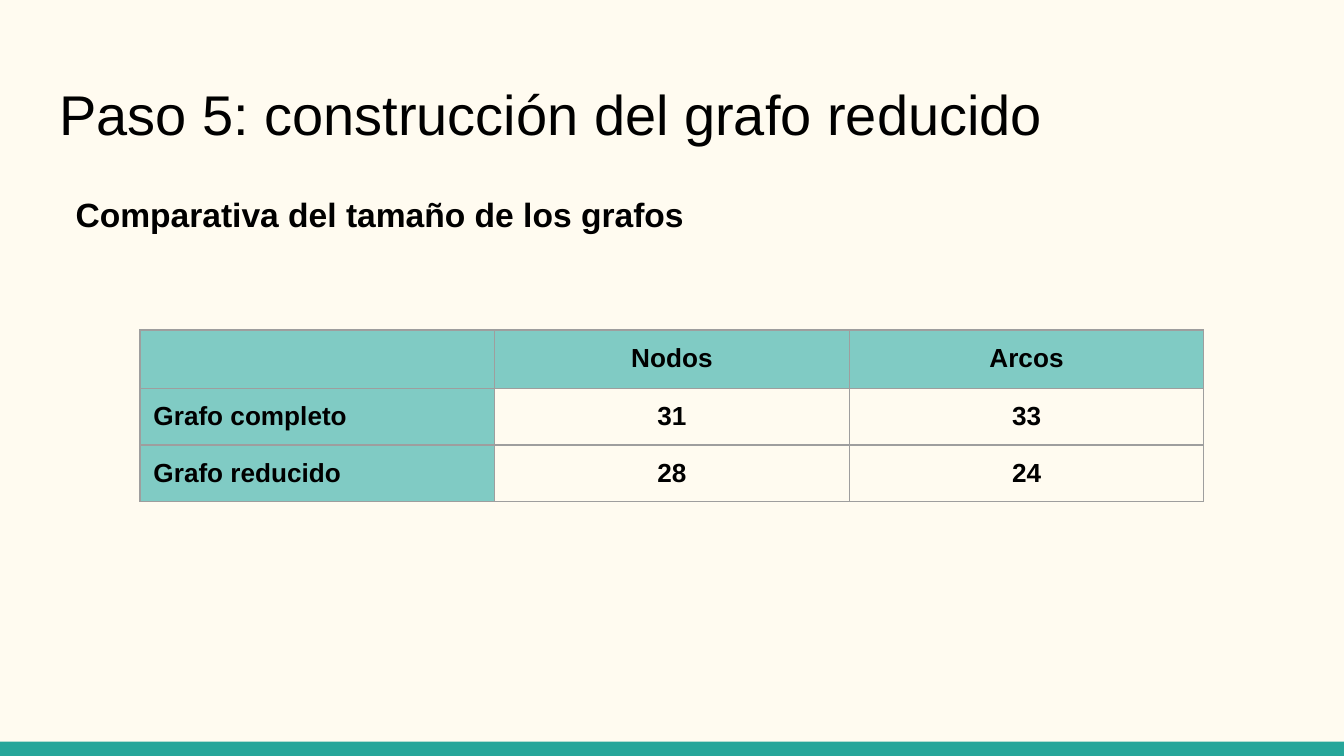
from dataclasses import dataclass

from lxml import etree
from pptx import Presentation
from pptx.dml.color import RGBColor
from pptx.enum import shapes, text
from pptx.oxml import ns
from pptx.util import Pt

CREAM = RGBColor(0xFF, 0xFB, 0xF0)
TEAL = RGBColor(0x26, 0xA6, 0x9A)
MINT = RGBColor(0x80, 0xCB, 0xC4)
GREY = RGBColor(0x9E, 0x9E, 0x9E)
BLACK = RGBColor(0, 0, 0)
FONT = "Arial"
INSET = Pt(7.2)
COL, ROW = 190, 30
LEFT, MID = text.PP_ALIGN.LEFT, text.PP_ALIGN.CENTER


@dataclass
class Box:
    left: float
    top: float
    width: float
    height: float

    def place(self) -> tuple:
        return Pt(self.left), Pt(self.top), Pt(self.width), Pt(self.height)


@dataclass
class Row:
    label: str
    nodes: str
    arcs: str


ROWS = [
    Row("", "Nodos", "Arcos"),
    Row("Grafo completo", "31", "33"),
    Row("Grafo reducido", "28", "24"),
]


def write(frame, words: str, size: float, bold: bool = False, align=LEFT) -> None:
    frame.word_wrap = True
    para = frame.paragraphs[0]
    para.alignment = align
    if not words:
        # An empty cell still needs its size, so that the row keeps its height
        etree.SubElement(para._p, ns.qn("a:endParaRPr"), sz=str(int(size * 100)))
        return
    run = para.add_run()
    run.text = words
    run.font.name = FONT
    run.font.size = Pt(size)
    run.font.bold = bold
    run.font.color.rgb = BLACK


def pad(item) -> None:
    item.margin_left = item.margin_right = INSET
    item.margin_top = item.margin_bottom = INSET


def edge(cell, color: RGBColor, width: float) -> None:
    props = cell._tc.get_or_add_tcPr()
    for side in ("lnL", "lnR", "lnT", "lnB"):
        line = etree.SubElement(props, ns.qn(f"a:{side}"), w=str(Pt(width)))
        fill = etree.SubElement(line, ns.qn("a:solidFill"))
        etree.SubElement(fill, ns.qn("a:srgbClr"), val=str(color))


def draw_table(slide, rows: list[Row], left: float, top: float) -> None:
    box = Box(left, top, 3 * COL, len(rows) * ROW)
    table = slide.shapes.add_table(len(rows), 3, *box.place()).table
    table.first_row = table.horz_banding = False
    for col in table.columns:
        col.width = Pt(COL)
    for r, row in enumerate(rows):
        table.rows[r].height = Pt(ROW)
        for c, words in enumerate((row.label, row.nodes, row.arcs)):
            cell = table.cell(r, c)
            pad(cell)
            edge(cell, GREY, 0.75)
            if r == 0 or c == 0:
                cell.fill.solid()
                cell.fill.fore_color.rgb = MINT
            else:
                cell.fill.background()
            write(cell.text_frame, words, 14, bold=True, align=MID if c else LEFT)


def main() -> None:
    deck = Presentation()
    deck.slide_width, deck.slide_height = Pt(720), Pt(405)
    slide = deck.slides.add_slide(deck.slide_layouts[5])
    slide.background.fill.solid()
    slide.background.fill.fore_color.rgb = CREAM

    # Bottom band
    band = slide.shapes.add_shape(
        shapes.MSO_SHAPE.RECTANGLE, *Box(0, 397.4, 720, 7.6).place())
    band.shadow.inherit = False
    band.fill.solid()
    band.fill.fore_color.rgb = TEAL
    band.line.fill.background()

    # Title
    title = slide.shapes.title
    title.left, title.top, title.width, title.height = Box(24.5, 35.3, 671, 48.2).place()
    frame = title.text_frame
    pad(frame)
    frame.auto_size = text.MSO_AUTO_SIZE.NONE
    frame.vertical_anchor = text.MSO_ANCHOR.TOP
    write(frame, "Paso 5: construcción del grafo reducido", 30)

    # Size comparison
    draw_table(slide, ROWS, 75, 176.8)

    # Subtitle
    sub = slide.shapes.add_textbox(*Box(33.4, 96.5, 348, 32).place()).text_frame
    pad(sub)
    write(sub, "Comparativa del tamaño de los grafos", 18, bold=True)

    deck.save("out.pptx")


if __name__ == "__main__":
    main()
